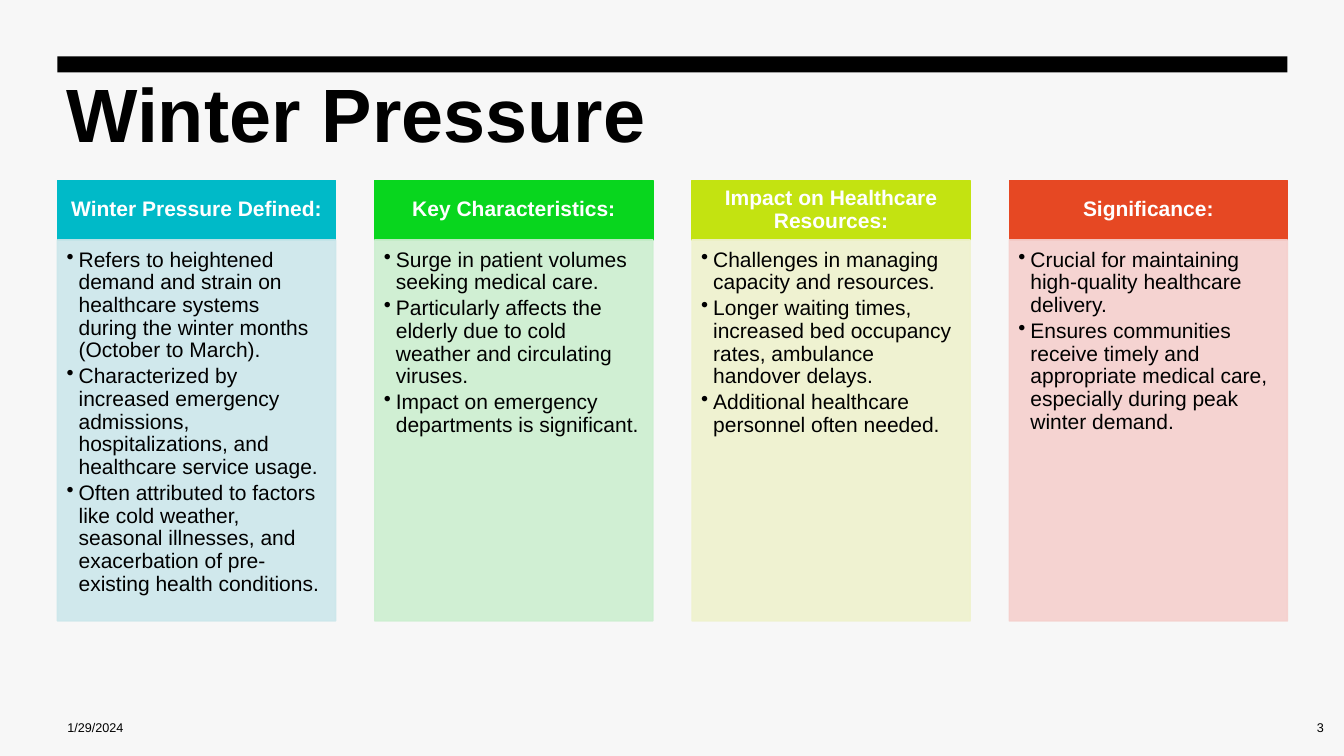
import pptx
import pptx.dml.color
import pptx.enum.shapes
import pptx.enum.text
import pptx.oxml.ns
import pptx.util
from lxml import etree

Inches, Pt = pptx.util.Inches, pptx.util.Pt
ALIGN = pptx.enum.text.PP_ALIGN
ANCHOR = pptx.enum.text.MSO_ANCHOR

TITLE = "Winter Pressure"
DATE = "1/29/2024"
PAGE_NUMBER = "3"
# heading, heading colour, panel colour, points
TOPICS = [
    ("Winter Pressure Defined:", "00BAC8", "CCE7EB", [
        "Refers to heightened demand and strain on healthcare systems during the winter months (October to March).",
        "Characterized by increased emergency admissions, hospitalizations, and healthcare service usage.",
        "Often attributed to factors like cold weather, seasonal illnesses, and exacerbation of pre-existing health conditions.",
    ]),
    ("Key Characteristics:", "08D61E", "CCEFD0", [
        "Surge in patient volumes seeking medical care.",
        "Particularly affects the elderly due to cold weather and circulating viruses.",
        "Impact on emergency departments is significant.",
    ]),
    ("Impact on Healthcare Resources:", "C3E311", "EFF2CD", [
        "Challenges in managing capacity and resources.",
        "Longer waiting times, increased bed occupancy rates, ambulance handover delays.",
        "Additional healthcare personnel often needed.",
    ]),
    ("Significance:", "E64823", "F5D0CD", [
        "Crucial for maintaining high-quality healthcare delivery.",
        "Ensures communities receive timely and appropriate medical care, especially during peak winter demand.",
    ]),
]

# Lengths in inches
SLIDE_W, SLIDE_H = 13.33, 7.5
MARGIN, CONTENT_W = 0.57, 12.2
BAR_TOP, BAR_H = 0.56, 0.16
HEADING_TOP, HEADING_H, PANEL_H = 1.79, 0.59, 3.78
COLUMN_W = 2.76
COLUMN_PITCH = (CONTENT_W - COLUMN_W) / (len(TOPICS) - 1)
FOOTER_TOP, FOOTER_H = 7.02, 0.4
BULLET_INDENT = 0.12
PANEL_OPACITY = 90


def rgb(hex_colour):
    return pptx.dml.color.RGBColor.from_string(hex_colour)


def add_rectangle(box, colour, outlined=False, opacity=100):
    shape = slide.shapes.add_shape(
        pptx.enum.shapes.MSO_SHAPE.RECTANGLE, *map(Inches, box))
    shape.shadow.inherit = False
    shape.fill.solid()
    shape.fill.fore_color.rgb = rgb(colour)
    if outlined:
        shape.line.color.rgb = rgb(colour)
        shape.line.width = Pt(1)
    else:
        shape.line.fill.background()
    if opacity < 100:
        for tint in shape.fill._xPr.iter(pptx.oxml.ns.qn("a:srgbClr")):
            etree.SubElement(tint, pptx.oxml.ns.qn("a:alpha"), val=str(opacity * 1000))
    return shape


def add_textbox(box):
    return slide.shapes.add_textbox(*map(Inches, box))


def add_bullet(paragraph):
    properties = paragraph._p.get_or_add_pPr()
    indent = Inches(BULLET_INDENT)
    properties.set("marL", str(indent))
    properties.set("indent", str(-indent))
    etree.SubElement(properties, pptx.oxml.ns.qn("a:buChar"), char="•")


def write(shape, lines, size, colour="000000", bold=False, align=ALIGN.LEFT,
          anchor=ANCHOR.TOP, insets=(0.1, 0.05, 0.1, 0.05),
          line_spacing=1.0, space_after=0, bulleted=False):
    """Fill a shape with one paragraph per line; insets run left, top, right, bottom."""
    frame = shape.text_frame
    frame.word_wrap = True
    frame.vertical_anchor = anchor
    (frame.margin_left, frame.margin_top,
     frame.margin_right, frame.margin_bottom) = map(Inches, insets)
    frame.text = "\n".join(lines)
    for paragraph in frame.paragraphs:
        paragraph.alignment = align
        paragraph.line_spacing = line_spacing
        paragraph.space_after = Pt(space_after)
        if bulleted:
            add_bullet(paragraph)
        for run in paragraph.runs:
            run.font.name = "Arial"
            run.font.size = Pt(size)
            run.font.bold = bold
            run.font.color.rgb = rgb(colour)


deck = pptx.Presentation()
deck.slide_width, deck.slide_height = Inches(SLIDE_W), Inches(SLIDE_H)
slide = deck.slides.add_slide(deck.slide_layouts[6])
slide.background.fill.solid()
slide.background.fill.fore_color.rgb = rgb("F7F7F7")

title = add_textbox((MARGIN - 0.01, BAR_TOP, CONTENT_W, 1.79))
write(title, [TITLE], 54, bold=True, insets=(0.1, 0.1, 0.1, 0.05))
add_rectangle((MARGIN, BAR_TOP, CONTENT_W, BAR_H), "000000")

date = add_textbox((MARGIN, FOOTER_TOP, 3, FOOTER_H))
write(date, [DATE], 9, anchor=ANCHOR.MIDDLE)
page_number = add_textbox((12.53, FOOTER_TOP, 0.7, FOOTER_H))
write(page_number, [PAGE_NUMBER], 9, align=ALIGN.RIGHT, anchor=ANCHOR.MIDDLE)

for column, (topic, heading_colour, panel_colour, points) in enumerate(TOPICS):
    left = MARGIN + column * COLUMN_PITCH
    heading = add_rectangle((left, HEADING_TOP, COLUMN_W, HEADING_H),
                            heading_colour, outlined=True)
    write(heading, [topic], 15, "FFFFFF", bold=True, align=ALIGN.CENTER,
          anchor=ANCHOR.MIDDLE, insets=(0.12, 0.07, 0.12, 0.07), line_spacing=0.9)
    panel = add_rectangle((left, HEADING_TOP + HEADING_H, COLUMN_W, PANEL_H),
                          panel_colour, outlined=True, opacity=PANEL_OPACITY)
    write(panel, points, 15, insets=(0.09, 0.09, 0.12, 0.13),
          line_spacing=0.9, space_after=2.25, bulleted=True)

deck.save("out.pptx")
